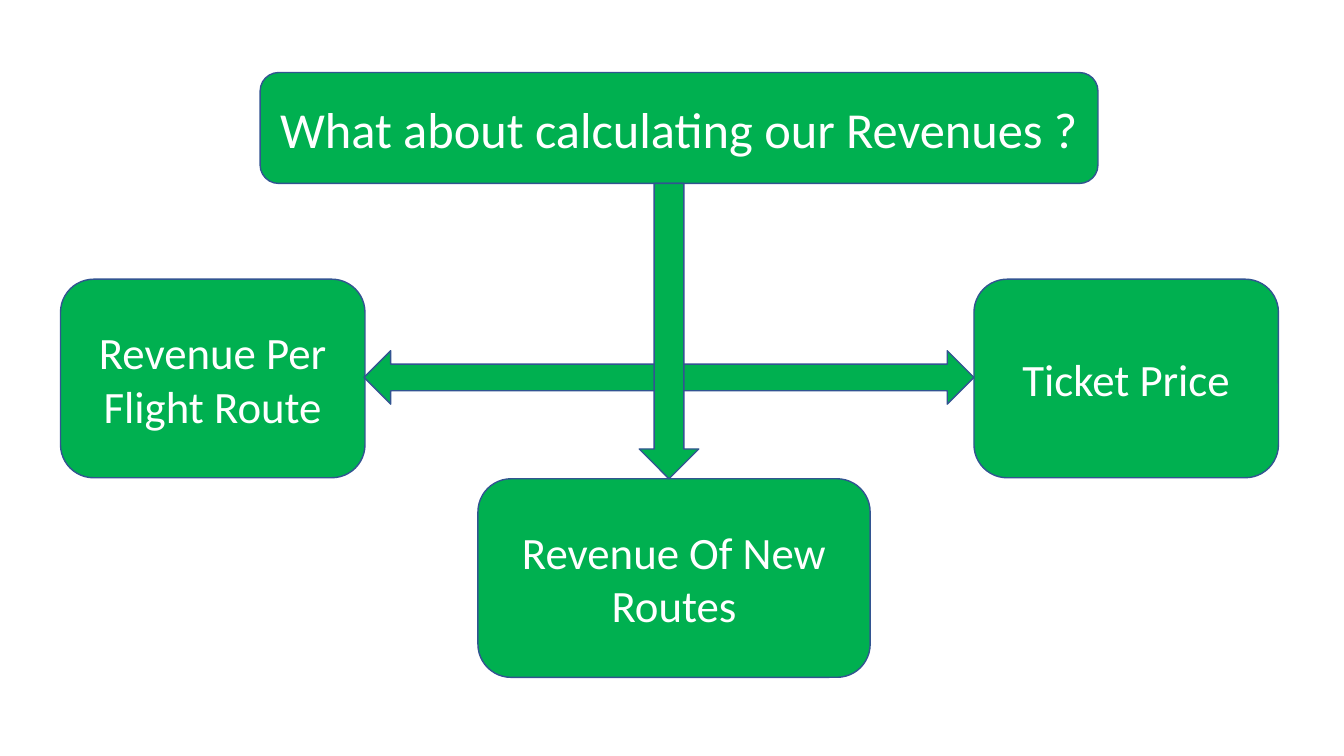
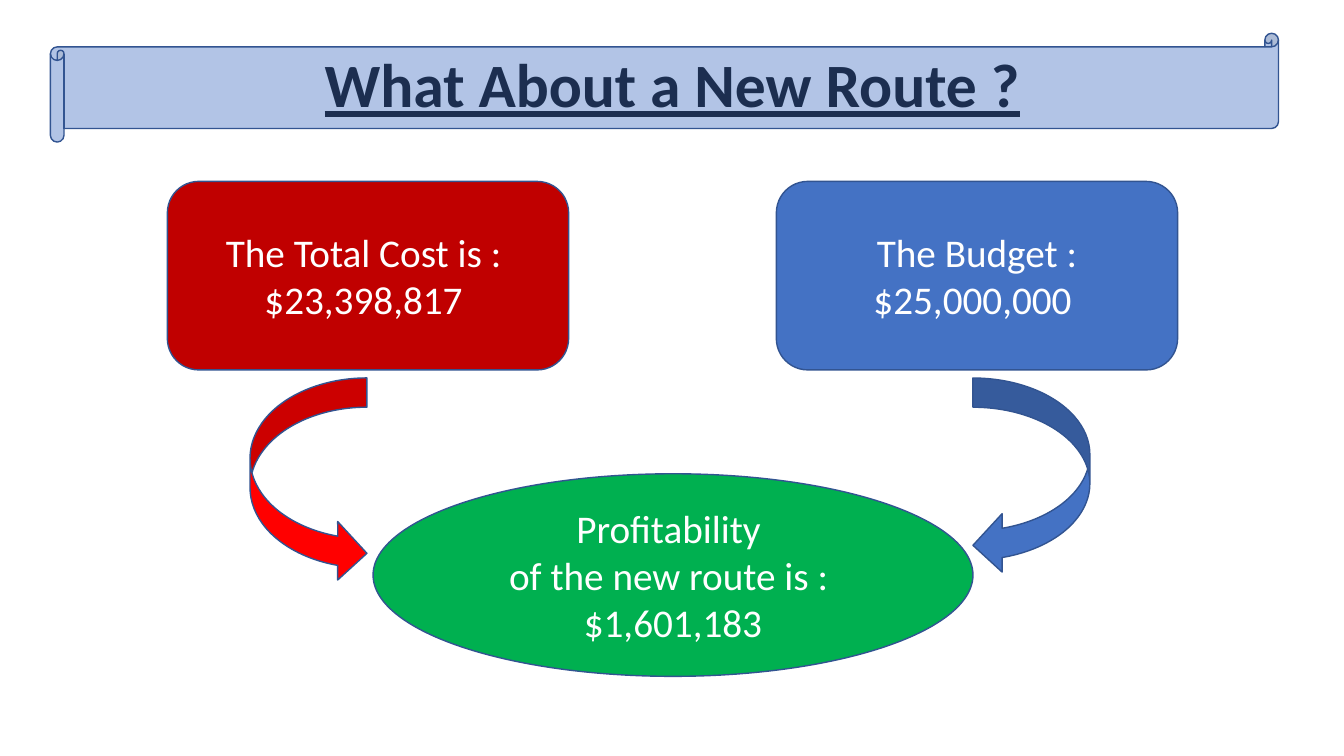
"""Build two slides on airline revenues and the profitability of a new route."""
from lxml.etree import SubElement
from pptx import Presentation
from pptx.dml.color import RGBColor
from pptx.enum.shapes import MSO_SHAPE as Shape
from pptx.enum.text import MSO_ANCHOR as Anchor, PP_ALIGN as Align
from pptx.oxml.ns import qn
from pptx.util import Inches, Pt

COLORS = {
    "green": "00B050",
    "blue": "4472C4",
    "dark_red": "C00000",
    "red": "FF0000",
    "outline": "325491",
    "white": "FFFFFF",
    "black": "000000",
}
FONT = "Calibri"


def write_lines(frame, lines, size, color, bold=None, underline=None):
    frame.word_wrap = True
    frame.vertical_anchor = Anchor.MIDDLE
    for index, line in enumerate(lines):
        para = frame.paragraphs[0] if index == 0 else frame.add_paragraph()
        para.alignment = Align.CENTER
        span = para.add_run()
        span.text = line
        span.font.name = FONT
        span.font.size = Pt(size)
        span.font.bold = bold
        span.font.underline = underline
        span.font.color.rgb = RGBColor.from_string(COLORS[color])


def add_figure(slide, kind, place, color, lines=(), size=28):
    figure = slide.shapes.add_shape(kind, *map(Inches, place))
    figure.shadow.inherit = False
    figure.fill.solid()
    figure.fill.fore_color.rgb = RGBColor.from_string(COLORS[color])
    figure.line.color.rgb = RGBColor.from_string(COLORS["outline"])
    figure.line.width = Pt(1)
    write_lines(figure.text_frame, lines, size, "white")
    return figure


deck = Presentation()
deck.slide_width = Inches(13.33)
deck.slide_height = Inches(7.5)

revenue_slide = deck.slides.add_slide(deck.slide_layouts[6])
revenue_boxes = [
    ((2.58, 0.72, 8.31, 1.1), "What about calculating our Revenues ?", 36),
    ((0.6, 2.77, 3.02, 1.97), "Revenue Per Flight Route", 32),
    ((4.74, 4.75, 3.89, 1.97), "Revenue Of New Routes", 32),
    ((9.66, 2.77, 3.02, 1.97), "Ticket Price", 32),
]
for place, label, size in revenue_boxes:
    add_figure(revenue_slide, Shape.ROUNDED_RECTANGLE, place, "green", [label], size)
add_figure(revenue_slide, Shape.LEFT_RIGHT_ARROW, (3.61, 3.48, 6.05, 0.53), "green")
add_figure(revenue_slide, Shape.DOWN_ARROW, (6.34, 1.82, 0.59, 2.93), "green")

route_slide = deck.slides.add_slide(deck.slide_layouts[5])
title = route_slide.shapes.title
title.left, title.top, title.width, title.height = map(Inches, (0.92, 0.4, 11.5, 0.94))
write_lines(title.text_frame, ["What About a New Route ?"], 44, "black", True, True)
title.text_frame.paragraphs[0].line_spacing = 0.9

route_figures = [
    (Shape.ROUNDED_RECTANGLE, (7.7, 1.8, 3.98, 1.87), "blue",
     ["The Budget :", "$25,000,000 "]),
    (Shape.ROUNDED_RECTANGLE, (1.66, 1.8, 3.98, 1.87), "dark_red",
     ["The Total Cost is : ", "$23,398,817 "]),
    (Shape.OVAL, (3.7, 4.7, 5.95, 2.01), "green",
     ["Profitability ", "of the new route is : ", "$1,601,183"]),
    (Shape.CURVED_LEFT_ARROW, (9.65, 3.75, 1.16, 1.95), "blue", []),
    (Shape.CURVED_RIGHT_ARROW, (2.48, 3.75, 1.16, 2.03), "red", []),
]
for kind, place, color, lines in route_figures:
    add_figure(route_slide, kind, place, color, lines)

scroll = add_figure(route_slide, Shape.HORIZONTAL_SCROLL, (0.5, 0.33, 12.18, 1.08), "blue")
scroll_color = scroll.fill._xPr.find(qn("a:solidFill")).find(qn("a:srgbClr"))
SubElement(scroll_color, qn("a:alpha")).set("val", "41000")

deck.save("out.pptx")
